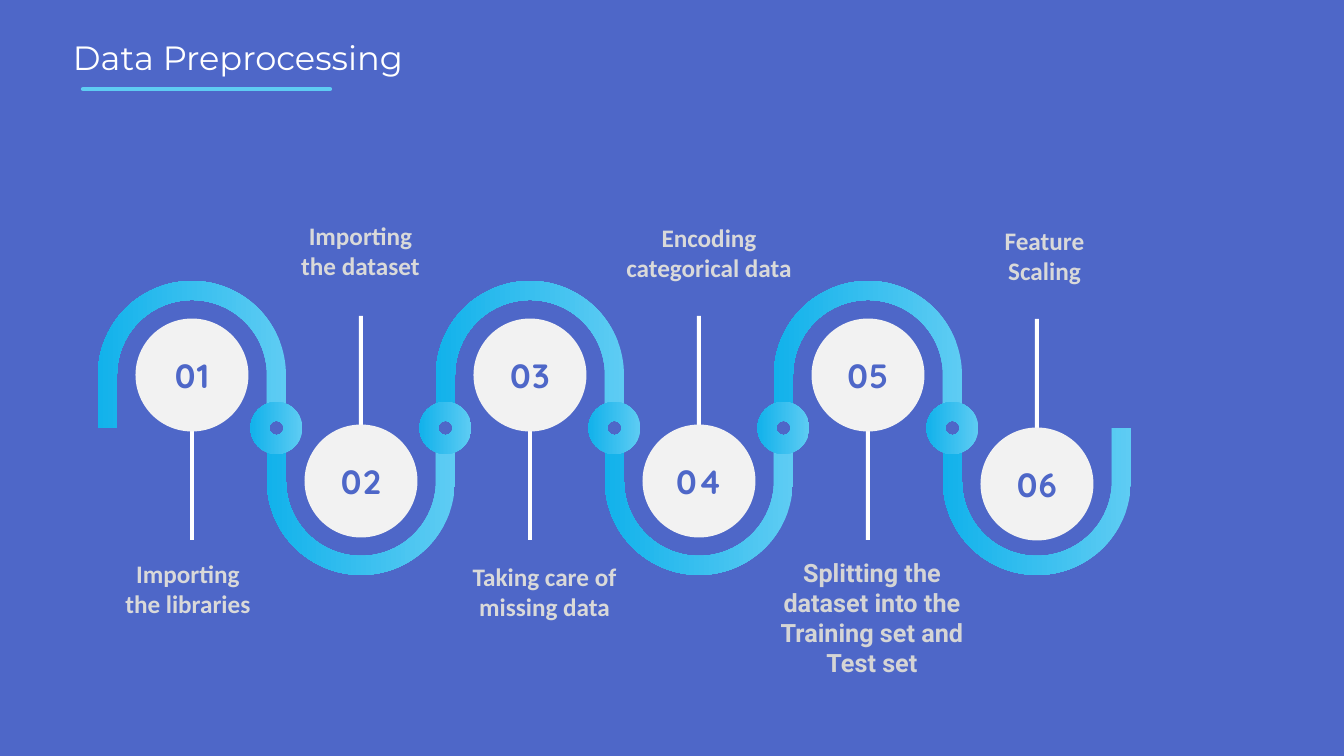
import math

from lxml import etree
from pptx import Presentation
from pptx.dml.color import RGBColor
from pptx.enum.shapes import MSO_CONNECTOR, MSO_SHAPE
from pptx.enum.text import MSO_ANCHOR, PP_ALIGN
from pptx.oxml.ns import qn
from pptx.util import Pt

OVAL, DONUT, RECTANGLE = MSO_SHAPE.OVAL, MSO_SHAPE.DONUT, MSO_SHAPE.RECTANGLE
STRAIGHT = MSO_CONNECTOR.STRAIGHT
MIDDLE, TOP = MSO_ANCHOR.MIDDLE, MSO_ANCHOR.TOP
LEFT, CENTER = PP_ALIGN.LEFT, PP_ALIGN.CENTER

PX = 914400 / 100.8
COLORS = {
    "background": "4E67C8",
    "white": "FFFFFF",
    "disc": "F2F2F2",
    "label": "D9D9D9",
    "last_label": "D5D5D5",
    "light_blue": "5ECCF3",
    "deep_blue": "12B2EB",
}

# Road: equal steps along a middle line, bending up and down in turn
PITCH = 169
STEP_COUNT = 6
ARCH_WIDTH, ARCH_HEIGHT, BAND = 188, 147, 19
DISC, STEM_WIDTH, STEM_LENGTH = 113, 4, 165
RING, RING_BACK = 52, 34
LAST_DROP = 3  # the last disc and stem sit slightly lower

# Label box (left, top, width, height), lines, font, colour
LABELS = [
    ((47, 553, 282, 102), ["Importing", "the libraries"], "Calibri", "label"),
    ((281, 215, 159, 102), ["Importing the dataset"], "Calibri", "label"),
    ((455, 556, 179, 102), ["Taking care of missing data"], "Calibri", "label"),
    ((610, 217, 198, 102), ["Encoding categorical data"], "Calibri", "label"),
    ((750, 552, 244, 132),
     ["Splitting the dataset into the Training set and Test set"],
     "Roboto", "last_label"),
    ((965, 220, 159, 102), ["Feature Scaling"], "Calibri", "label"),
]


def emu(*lengths):
    return [round(length * PX) for length in lengths]


def color(name):
    return RGBColor.from_string(COLORS[name])


def finish(shape, fill=None):
    """Fill with a named colour, or with the road gradient if none is given."""
    shape.shadow.inherit = False
    shape.line.fill.background()
    if fill:
        shape.fill.solid()
        shape.fill.fore_color.rgb = color(fill)
        return
    shape.fill.gradient()
    shape.fill.gradient_angle = 180
    for stop, name in zip(shape.fill.gradient_stops, ("light_blue", "deep_blue")):
        stop.color.rgb = color(name)


def add_preset(slide, kind, box, fill=None):
    shape = slide.shapes.add_shape(kind, *emu(*box))
    finish(shape, fill)
    return shape


def write(shape, lines, font_name, size, fill, align=CENTER, bold=True,
          anchor=TOP, wrap=True, margin=None, spacing=None):
    frame = shape.text_frame
    frame.word_wrap = wrap
    frame.vertical_anchor = anchor
    if margin is not None:
        frame.margin_left = frame.margin_right = margin
        frame.margin_top = frame.margin_bottom = margin
    for index, line in enumerate(lines):
        paragraph = frame.add_paragraph() if index else frame.paragraphs[0]
        paragraph.alignment = align
        run = paragraph.add_run()
        run.text = line
        run.font.name = font_name
        run.font.size = Pt(size)
        run.font.bold = bold
        run.font.color.rgb = color(fill)
        if spacing:
            run.font._element.set("spc", str(spacing))


def add_title(slide, box):
    left, top, width, height = box
    title = slide.shapes.add_textbox(*emu(*box))
    write(title, ["Data Preprocessing"], "Montserrat", 24, "white",
          align=LEFT, bold=False, wrap=False, margin=0)
    # Underline
    rule_top = top + height + 11
    rule = slide.shapes.add_connector(
        STRAIGHT, *emu(left + 10, rule_top, left + 257, rule_top))
    rule.line.color.rgb = color("light_blue")
    rule.line.width = Pt(3)
    rule.line._get_or_add_ln().set("cap", "rnd")
    etree.SubElement(rule._element.spPr, qn("a:effectLst"))


def add_arch(slide, box, upward):
    left, top, width, height = box
    radius = width / 2
    center_x = left + radius
    center_y = top + radius if upward else top + height - radius
    base_y = top + height if upward else top
    sign = -1 if upward else 1

    def half_circle(arc_radius):
        angles = [math.pi * step / 60 for step in range(61)]
        return [(center_x - arc_radius * math.cos(angle),
                 center_y + sign * arc_radius * math.sin(angle))
                for angle in angles]

    inner = radius - BAND
    points = [(left, base_y), *half_circle(radius),
              (left + width, base_y), (left + width - BAND, base_y),
              *reversed(half_circle(inner)), (left + BAND, base_y)]
    points = [emu(*point) for point in points]
    builder = slide.shapes.build_freeform(*points[0])
    builder.add_line_segments(points[1:], close=True)
    finish(builder.convert_to_shape())


def add_ring(slide, center_x, center_y):
    for kind, size, fill in ((OVAL, RING_BACK, "background"), (DONUT, RING, None)):
        box = (center_x - size / 2, center_y - size / 2, size, size)
        shape = add_preset(slide, kind, box, fill)
    shape.adjustments[0] = 0.36


def add_road(slide, box):
    left, top, _, height = box
    middle = top + height / 2
    steps = []
    for index in range(STEP_COUNT):
        center_x = left + ARCH_WIDTH / 2 + index * PITCH
        upward = index % 2 == 0
        shift = ARCH_HEIGHT - ARCH_WIDTH / 2
        center_y = middle - shift if upward else middle + shift
        drop = LAST_DROP if index == STEP_COUNT - 1 else 0
        steps.append((center_x, center_y + drop, upward))

    # Stems run from each disc towards its label
    for center_x, center_y, upward in steps:
        stem_top = center_y if upward else center_y - STEM_LENGTH
        add_preset(slide, RECTANGLE, (center_x - STEM_WIDTH / 2, stem_top,
                                      STEM_WIDTH, STEM_LENGTH), "white")
    # Arches, right to left so that earlier ones lie on top
    for center_x, _, upward in reversed(steps):
        arch_top = middle - ARCH_HEIGHT if upward else middle
        add_arch(slide, (center_x - ARCH_WIDTH / 2, arch_top,
                         ARCH_WIDTH, ARCH_HEIGHT), upward)
    # Rings at the joints
    for center_x, _, _ in steps[:-1]:
        add_ring(slide, center_x + PITCH / 2, middle)
    # Numbered discs
    for number, (center_x, center_y, _) in enumerate(steps, 1):
        disc = add_preset(slide, OVAL, (center_x - DISC / 2, center_y - DISC / 2,
                                        DISC, DISC), "disc")
        write(disc, [f"{number:02d}"], "Quicksand", 24, "background",
              anchor=MIDDLE, margin=0, spacing=100)


def add_label(slide, box, lines, font_name, fill):
    label = slide.shapes.add_textbox(*emu(*box))
    write(label, lines, font_name, 18, fill)


def main():
    presentation = Presentation()
    presentation.slide_width, presentation.slide_height = emu(1344, 756)
    slide = presentation.slides.add_slide(presentation.slide_layouts[6])
    slide.background.fill.solid()
    slide.background.fill.fore_color.rgb = color("background")

    add_title(slide, (73, 37, 335, 41))
    add_road(slide, (98, 281, 1033, 2 * ARCH_HEIGHT))
    for label in LABELS:
        add_label(slide, *label)

    presentation.save("out.pptx")


if __name__ == "__main__":
    main()
